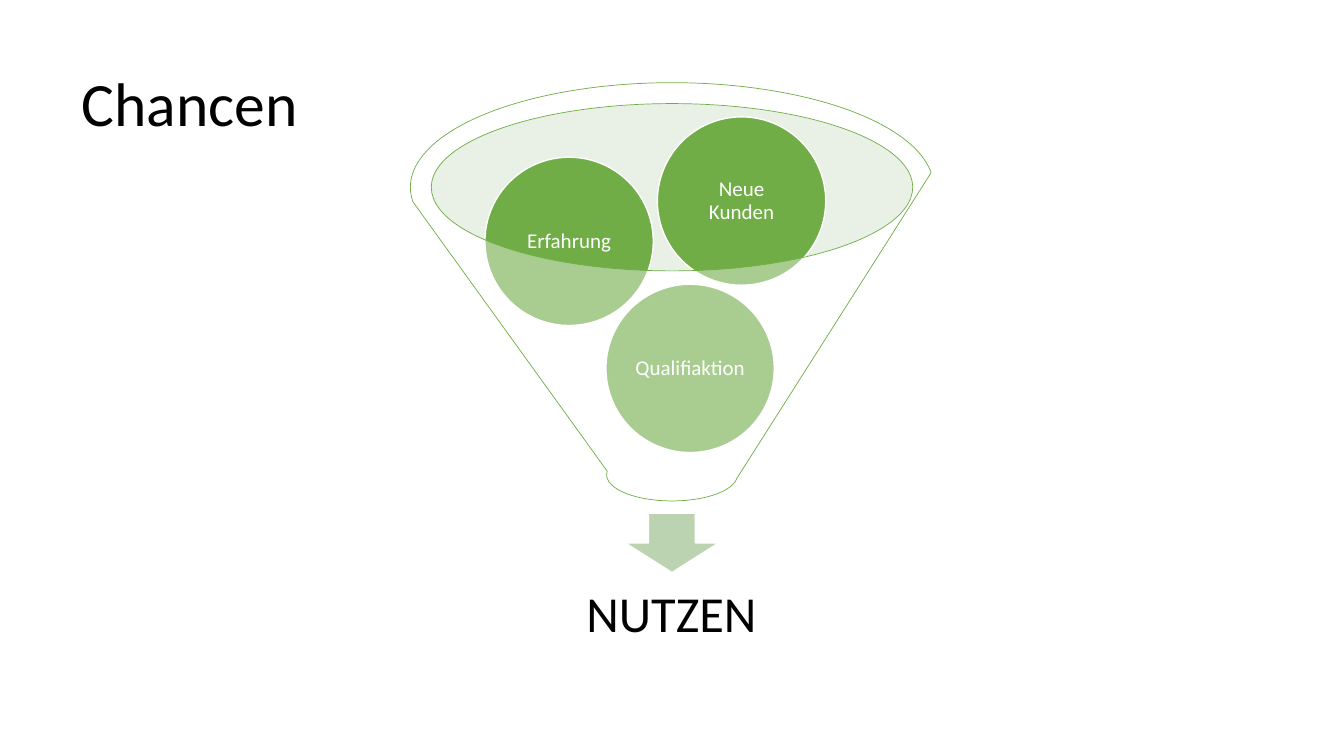
from dataclasses import dataclass

import pptx
import pptx.dml.color
import pptx.enum.shapes
import pptx.enum.text
import pptx.oxml
import pptx.oxml.ns
import pptx.util

Inches = pptx.util.Inches
Pt = pptx.util.Pt
PRESET = pptx.enum.shapes.MSO_SHAPE
ALIGN = pptx.enum.text.PP_ALIGN


@dataclass(frozen=True)
class Theme:
    font: str = "Calibri"
    text: str = "000000"
    white: str = "FFFFFF"
    green: str = "70AD47"
    funnel_opening: str = "C9DBC1"
    arrow: str = "BBD3B1"
    title_size: int = 44
    result_size: int = 36
    circle_size: int = 15


THEME = Theme()
CIRCLE_DIAMETER = 1.67
CIRCLES = [
    ("Qualifiaktion", 6.01, 2.82),
    ("Erfahrung", 4.81, 1.56),
    ("Neue Kunden", 6.52, 1.16),
]


def rgb(value):
    return pptx.dml.color.RGBColor.from_string(value)


def set_opacity(shape, percent):
    color = shape.fill._xPr.find(".//" + pptx.oxml.ns.qn("a:srgbClr"))
    alpha = pptx.oxml.parse_xml(
        f'<a:alpha {pptx.oxml.ns.nsdecls("a")} val="{percent * 1000}"/>')
    color.append(alpha)


def set_text(shape, text, *, size, color=THEME.text, align=ALIGN.CENTER, inset=None):
    """Write one vertically centred paragraph; inset is in inches on all sides."""
    frame = shape.text_frame
    frame.word_wrap = True
    frame.auto_size = pptx.enum.text.MSO_AUTO_SIZE.NONE
    frame.vertical_anchor = pptx.enum.text.MSO_ANCHOR.MIDDLE
    if inset is not None:
        frame.margin_left = frame.margin_right = Inches(inset)
        frame.margin_top = frame.margin_bottom = Inches(inset)
    paragraph = frame.paragraphs[0]
    paragraph.alignment = align
    paragraph.line_spacing = 0.9
    run = paragraph.add_run()
    run.text = text
    run.font.name = THEME.font
    run.font.size = Pt(size)
    run.font.color.rgb = rgb(color)


def add_shape(slide, preset, left, top, width, height, *, fill,
              opacity=100, line=None, line_width=1):
    shape = slide.shapes.add_shape(
        preset, Inches(left), Inches(top), Inches(width), Inches(height))
    shape.shadow.inherit = False
    shape.fill.solid()
    shape.fill.fore_color.rgb = rgb(fill)
    if opacity < 100:
        set_opacity(shape, opacity)
    if line:
        shape.line.color.rgb = rgb(line)
        shape.line.width = Pt(line_width)
    else:
        shape.line.fill.background()
    return shape


def add_title(slide, text):
    title = slide.shapes.title
    title.left, title.top = Inches(0.71), Inches(0.33)
    title.width, title.height = Inches(11.5), Inches(1.45)
    set_text(title, text, size=THEME.title_size, align=ALIGN.LEFT)


def add_circle(slide, text, left, top):
    circle = add_shape(slide, PRESET.OVAL, left, top, CIRCLE_DIAMETER,
                       CIRCLE_DIAMETER, fill=THEME.green, line=THEME.white)
    set_text(circle, text, size=THEME.circle_size, color=THEME.white, inset=0.02)


def add_result(slide, text):
    box = slide.shapes.add_textbox(
        Inches(4.44), Inches(5.56), Inches(4.44), Inches(1.11))
    set_text(box, text, size=THEME.result_size, inset=0.28)


def main():
    presentation = pptx.Presentation()
    presentation.slide_width = Inches(13.33)
    presentation.slide_height = Inches(7.5)
    title_only = presentation.slide_layouts[5]
    slide = presentation.slides.add_slide(title_only)

    add_title(slide, "Chancen")
    add_shape(slide, PRESET.OVAL, 4.27, 1.03, 4.78, 1.66,
              fill=THEME.funnel_opening, opacity=40)
    add_shape(slide, PRESET.DOWN_ARROW, 6.2, 5.09, 0.93, 0.59,
              fill=THEME.arrow, line=THEME.white)
    add_result(slide, "NUTZEN")
    for text, left, top in CIRCLES:
        add_circle(slide, text, left, top)
    # The translucent funnel lies over the circles and lightens their lower parts.
    add_shape(slide, PRESET.FUNNEL, 4.07, 0.82, 5.19, 4.15,
              fill=THEME.white, opacity=40, line=THEME.green, line_width=0.5)

    presentation.save("out.pptx")


if __name__ == "__main__":
    main()
